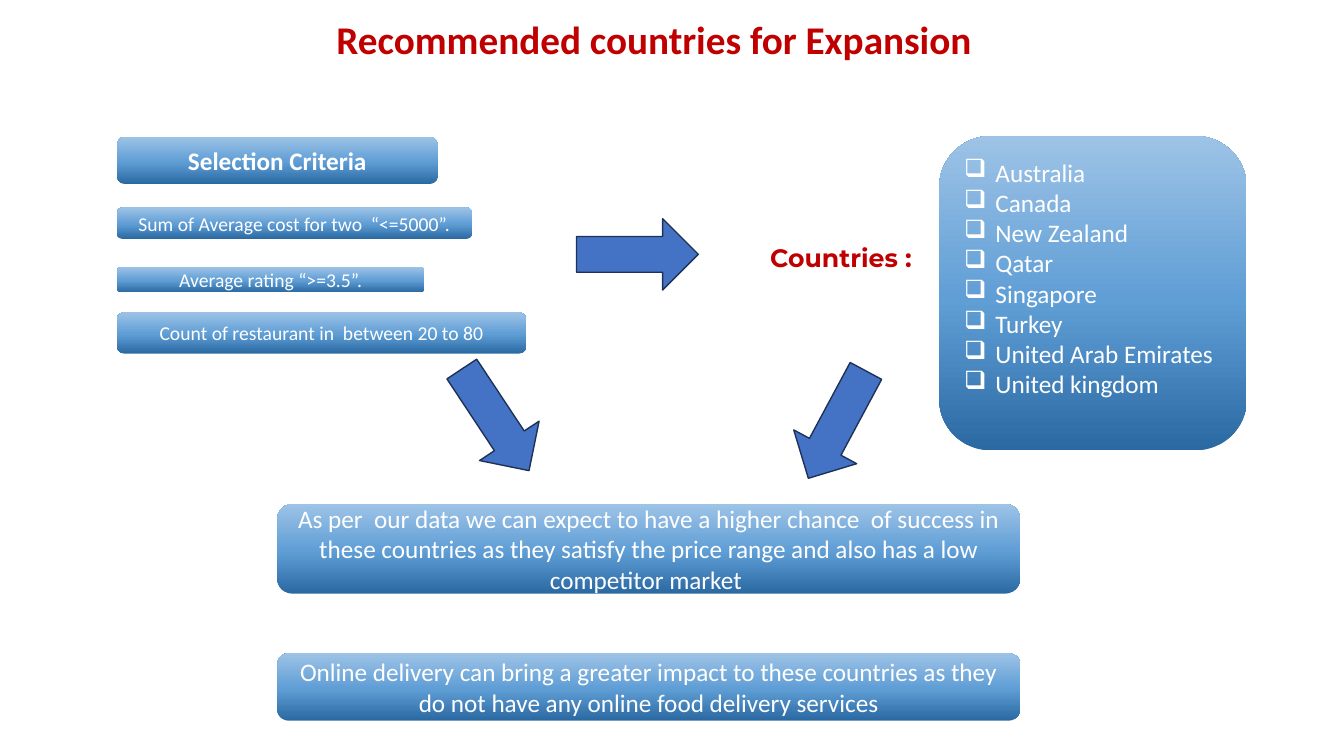
"""Build the slide on recommended countries for expansion."""
import copy
from dataclasses import dataclass

import pptx
import pptx.dml.color
import pptx.enum.shapes
import pptx.enum.text
import pptx.oxml
import pptx.oxml.ns
import pptx.shapes.autoshape
import pptx.slide
import pptx.text.text
import pptx.util

Cm = pptx.util.Cm
Align = pptx.enum.text.PP_ALIGN
Anchor = pptx.enum.text.MSO_ANCHOR
Preset = pptx.enum.shapes.MSO_SHAPE


@dataclass(frozen=True)
class Theme:
    """Colours, fonts and type sizes of the slide."""

    heading: str = "C00000"
    panel_text: str = "FFFFFF"
    arrow_fill: str = "4472C4"
    arrow_line: str = "1E3256"
    gradient: tuple[tuple[float, str], ...] = (
        (0, "2A69A2"), (0.48, "609ED6"), (1, "9DC3E6"))
    body_font: str = "Calibri"
    label_font: str = "Montserrat"
    title_size: int = 28
    text_size: int = 18
    detail_size: int = 14


THEME = Theme()


@dataclass(frozen=True)
class Box:
    """Text with its place in centimetres and its type."""

    text: str
    left: float
    top: float
    width: float
    height: float
    size: int = THEME.text_size
    bold: bool = False
    font: str = THEME.body_font


@dataclass(frozen=True)
class Arrow:
    """An arrow with its place in centimetres and clockwise turn."""

    left: float
    top: float
    rotation: float


TITLE = Box("Recommended countries for Expansion", 8.23, 0.25, 18.72, 1.45,
            THEME.title_size, True)
COUNTRIES_LABEL = Box("Countries :", 19.16, 5.97, 4.4, 1.02,
                      bold=True, font=THEME.label_font)
COUNTRIES = Box(
    "\n".join(["Australia", "Canada", "New Zealand", "Qatar", "Singapore",
               "Turkey", "United Arab Emirates", "United kingdom"]),
    23.67, 3.43, 7.75, 7.92)

CRITERIA_LEFT = 2.95
CRITERIA = [
    Box("Selection Criteria", CRITERIA_LEFT, 3.45, 8.08, 1.19, bold=True),
    Box("Sum of Average cost for two  “<=5000”.",
        CRITERIA_LEFT, 5.23, 8.94, 0.79, THEME.detail_size),
    Box("Average rating “>=3.5”.",
        CRITERIA_LEFT, 6.73, 7.75, 0.64, THEME.detail_size),
    Box("Count of restaurant in  between 20 to 80",
        CRITERIA_LEFT, 7.87, 10.31, 1.04, THEME.detail_size),
]

CONCLUSION_LEFT, CONCLUSION_WIDTH = 6.99, 18.72
CONCLUSIONS = [
    Box("As per  our data we can expect to have a higher chance  of success "
        "in these countries as they satisfy the price range and also has a "
        "low competitor market ",
        CONCLUSION_LEFT, 12.7, CONCLUSION_WIDTH, 2.26),
    Box("Online delivery can bring a greater impact to these countries as "
        "they do not have any online food delivery services",
        CONCLUSION_LEFT, 16.46, CONCLUSION_WIDTH, 1.7),
]

ARROW_WIDTH, ARROW_HEIGHT = 3.07, 1.8
ARROWS = [Arrow(10.95, 9.68, 56.5), Arrow(19.56, 9.8, 118.2),
          Arrow(14.53, 5.51, 0)]


def rgb(code: str) -> pptx.dml.color.RGBColor:
    """Return the colour for a hex code."""
    return pptx.dml.color.RGBColor.from_string(code)


def write(frame: pptx.text.text.TextFrame, box: Box, color: str,
          align: Align) -> None:
    """Fill a text frame and format its runs."""
    frame.word_wrap = True
    frame.text = box.text
    for paragraph in frame.paragraphs:
        paragraph.alignment = align
        for run in paragraph.runs:
            run.font.name = box.font
            run.font.size = pptx.util.Pt(box.size)
            run.font.bold = box.bold
            run.font.color.rgb = rgb(color)


def add_heading(slide: pptx.slide.Slide, box: Box) -> None:
    """Add a red heading without a panel."""
    heading = slide.shapes.add_textbox(
        Cm(box.left), Cm(box.top), Cm(box.width), Cm(box.height))
    write(heading.text_frame, box, THEME.heading, Align.LEFT)


def shade(panel: pptx.shapes.autoshape.Shape) -> None:
    """Give a panel the vertical three-colour gradient."""
    panel.fill.gradient()
    panel.fill.gradient_angle = 90
    stop_list = panel.element.find(".//" + pptx.oxml.ns.qn("a:gsLst"))
    stop_list.append(copy.deepcopy(stop_list[-1]))
    for stop, (position, color) in zip(panel.fill.gradient_stops,
                                       THEME.gradient):
        stop.position = position
        stop.color.rgb = rgb(color)


def add_panel(slide: pptx.slide.Slide, box: Box,
              align: Align = Align.CENTER) -> pptx.text.text.TextFrame:
    """Add a shaded rounded panel and return its text frame."""
    panel = slide.shapes.add_shape(
        Preset.ROUNDED_RECTANGLE,
        Cm(box.left), Cm(box.top), Cm(box.width), Cm(box.height))
    panel.shadow.inherit = False
    panel.line.fill.background()
    shade(panel)
    panel.text_frame.vertical_anchor = Anchor.MIDDLE
    write(panel.text_frame, box, THEME.panel_text, align)
    return panel.text_frame


def add_checkboxes(frame: pptx.text.text.TextFrame) -> None:
    """Put a checkbox bullet with a hanging indent on each paragraph."""
    indent = Cm(0.79)
    for paragraph in frame.paragraphs:
        properties = paragraph._p.get_or_add_pPr()
        properties.set("marL", str(indent))
        properties.set("indent", str(-indent))
        bullet = pptx.oxml.parse_xml(
            f'<a:buChar {pptx.oxml.ns.nsdecls("a")} char="❑"/>')
        properties.append(bullet)


def add_arrow(slide: pptx.slide.Slide, arrow: Arrow) -> None:
    """Add a block arrow."""
    block = slide.shapes.add_shape(
        Preset.RIGHT_ARROW, Cm(arrow.left), Cm(arrow.top),
        Cm(ARROW_WIDTH), Cm(ARROW_HEIGHT))
    block.shadow.inherit = False
    block.rotation = arrow.rotation
    block.fill.solid()
    block.fill.fore_color.rgb = rgb(THEME.arrow_fill)
    block.line.color.rgb = rgb(THEME.arrow_line)
    block.line.width = pptx.util.Pt(1)


def main() -> None:
    """Build and save the presentation."""
    deck = pptx.Presentation()
    deck.slide_width, deck.slide_height = Cm(33.87), Cm(19.05)
    slide = deck.slides.add_slide(deck.slide_layouts[6])
    for heading in (TITLE, COUNTRIES_LABEL):
        add_heading(slide, heading)
    country_list = add_panel(slide, COUNTRIES, Align.LEFT)
    country_list.margin_bottom = Cm(0.9)
    add_checkboxes(country_list)
    for box in CRITERIA + CONCLUSIONS:
        add_panel(slide, box)
    for arrow in ARROWS:
        add_arrow(slide, arrow)
    deck.save("out.pptx")


if __name__ == "__main__":
    main()
